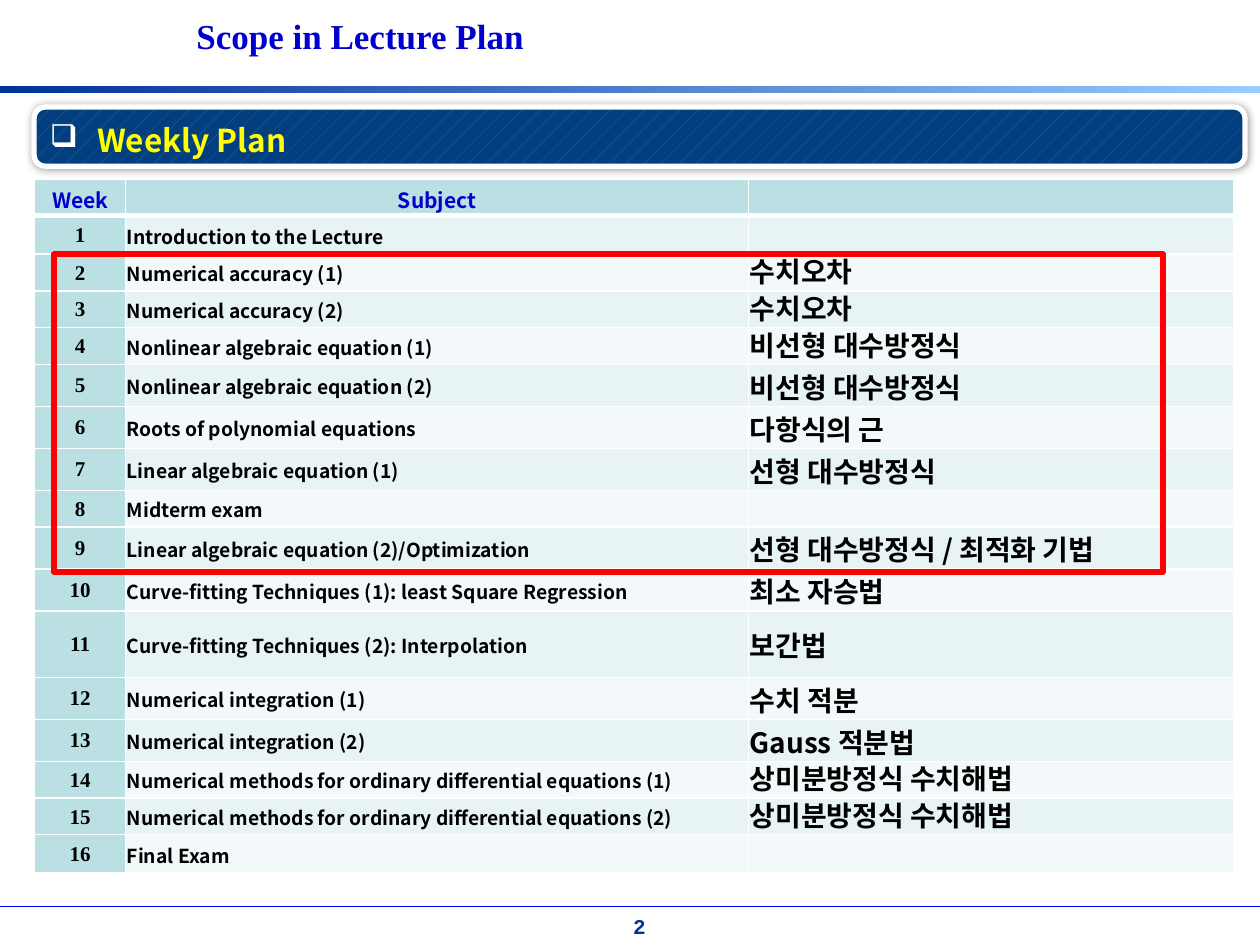
"""Build the weekly lecture plan slide."""
import pptx
import pptx.util
import pptx.dml.color
import pptx.enum.dml
import pptx.enum.shapes
import pptx.enum.text
import pptx.oxml
import pptx.oxml.ns

Pt = pptx.util.Pt
RGBColor = pptx.dml.color.RGBColor
SHAPE = pptx.enum.shapes.MSO_SHAPE
ALIGN = pptx.enum.text.PP_ALIGN
MIDDLE = pptx.enum.text.MSO_ANCHOR.MIDDLE

WHITE = RGBColor(0xFF, 0xFF, 0xFF)
BLACK = RGBColor(0x00, 0x00, 0x00)
YELLOW = RGBColor(0xFF, 0xFF, 0x00)
RED = RGBColor(0xFF, 0x00, 0x00)
BLUE = RGBColor(0x00, 0x00, 0xCC)
RULE = RGBColor(0x00, 0x00, 0xFF)
NAVY = RGBColor(0x00, 0x33, 0x99)
SKY = RGBColor(0x99, 0xCC, 0xFF)
DEEP = RGBColor(0x03, 0x3E, 0x7F)
STEEL = RGBColor(0x32, 0x6C, 0xAC)
TEAL = RGBColor(0xBB, 0xE0, 0xE3)
BANDS = (RGBColor(0xF3, 0xF9, 0xFA), RGBColor(0xE7, 0xF3, 0xF4))

SERIF = "Times New Roman"
SANS = "Noto Sans CJK KR"
MONO = "Courier New"

COLS = (52, 356, 277.5)
HEAD = 21
PLAN = (
    (22, "Introduction to the Lecture", ""),
    (21, "Numerical accuracy (1)", "수치오차"),
    (21, "Numerical accuracy (2)", "수치오차"),
    (21, "Nonlinear algebraic equation (1)", "비선형 대수방정식"),
    (24, "Nonlinear algebraic equation (2)", "비선형 대수방정식"),
    (24, "Roots of polynomial equations", "다항식의 근"),
    (24, "Linear algebraic equation (1)", "선형 대수방정식"),
    (21, "Midterm exam", ""),
    (24, "Linear algebraic equation (2)/Optimization", "선형 대수방정식 / 최적화 기법"),
    (24, "Curve-fitting Techniques (1): least Square Regression", "최소 자승법"),
    (38, "Curve-fitting Techniques (2): Interpolation", "보간법"),
    (24, "Numerical integration (1)", "수치 적분"),
    (24, "Numerical integration (2)", "Gauss 적분법"),
    (21, "Numerical methods for ordinary differential equations (1)", "상미분방정식 수치해법"),
    (21, "Numerical methods for ordinary differential equations (2)", "상미분방정식 수치해법"),
    (22, "Final Exam", ""),
)


def add_xml(parent, xml):
    space = pptx.oxml.ns.nsdecls("a")
    node = pptx.oxml.parse_xml(xml.replace("/>", f" {space}/>", 1) if xml.endswith("/>") and xml.count("<") == 1
                               else xml.replace(">", f" {space}>", 1))
    parent.append(node)


def write(frame, text, font, size, color, align=ALIGN.LEFT):
    frame.text = text
    para = frame.paragraphs[0]
    para.alignment = align
    for run in para.runs:
        run.font.name = font
        run.font.size = Pt(size)
        run.font.bold = True
        run.font.color.rgb = color
        add_xml(run.font._element, f'<a:ea typeface="{font}"/>')
    return para


def add_box(slide, kind, left, top, width, height):
    box = slide.shapes.add_shape(kind, Pt(left), Pt(top), Pt(width), Pt(height))
    box.shadow.inherit = False
    return box


def add_frame(slide):
    strip = add_box(slide, SHAPE.ROUNDED_RECTANGLE, 0, 49, 720, 4.3)
    strip.adjustments[0] = 0
    strip.line.fill.background()
    strip.fill.gradient()
    strip.fill.gradient_angle = 0
    for stop, color in zip(strip.fill.gradient_stops, (NAVY, SKY)):
        stop.color.rgb = color

    rule = slide.shapes.add_connector(
        pptx.enum.shapes.MSO_CONNECTOR.STRAIGHT, Pt(0), Pt(517.8), Pt(720), Pt(517.8))
    rule.line.color.rgb = RULE
    rule.line.width = Pt(0.25)
    add_xml(rule._element.spPr, "<a:effectLst/>")

    page = slide.shapes.add_textbox(Pt(342.7), Pt(518.4), Pt(45.4), Pt(22.3))
    page.text_frame.word_wrap = True
    para = write(page.text_frame, "2", MONO, 12, NAVY, ALIGN.CENTER)
    para.space_before = Pt(2.4)


def add_title(slide):
    title = slide.shapes.title
    title.left, title.top, title.width, title.height = Pt(105), Pt(3.6), Pt(449), Pt(33)
    frame = title.text_frame
    frame.auto_size = pptx.enum.text.MSO_AUTO_SIZE.NONE
    frame.vertical_anchor = MIDDLE
    write(frame, "Scope in Lecture Plan", SERIF, 20, BLUE)


def add_banner(slide):
    bar = add_box(slide, SHAPE.ROUNDED_RECTANGLE, 19.5, 61.2, 692, 33.8)
    bar.adjustments[0] = 0.19
    bar.fill.patterned()
    bar.fill.pattern = pptx.enum.dml.MSO_PATTERN.PERCENT_5
    bar.fill.fore_color.rgb = STEEL
    bar.fill.back_color.rgb = DEEP
    bar.line.color.rgb = WHITE
    bar.line.width = Pt(3)
    glow = bar._element.spPr.find(pptx.oxml.ns.qn("a:effectLst"))
    add_xml(glow, f'<a:outerShdw blurRad="{Pt(5)}" dist="0" dir="0"><a:srgbClr val="{BLACK}">'
                  '<a:alpha val="40000"/></a:srgbClr></a:outerShdw>')
    bar.text_frame.vertical_anchor = MIDDLE
    para = write(bar.text_frame, "Weekly Plan", SANS, 18, YELLOW)
    para.line_spacing = 1.2
    props = para._p.get_or_add_pPr()
    props.set("marL", str(Pt(27)))
    props.set("indent", str(-Pt(27)))
    add_xml(props, f'<a:buClr><a:srgbClr val="{WHITE}"/></a:buClr>')
    add_xml(props, '<a:buChar char="❑"/>')


def fill_cell(cell, text, font, size, color, back, align=ALIGN.LEFT, base=1):
    cell.margin_left = cell.margin_right = cell.margin_top = Pt(0.7)
    cell.margin_bottom = Pt(0)
    cell.vertical_anchor = MIDDLE
    para = write(cell.text_frame, text, font, size, color, align)
    if not text:
        para._p.get_or_add_endParaRPr().set("sz", str(size * 100))
    props = cell._tc.get_or_add_tcPr()
    for side, width in (("L", 1), ("R", 1), ("T", 1), ("B", base)):
        add_xml(props, f'<a:ln{side} w="{Pt(width)}"><a:solidFill><a:srgbClr val="{WHITE}"/>'
                       f'</a:solidFill></a:ln{side}>')
    cell.fill.solid()
    cell.fill.fore_color.rgb = back
    return para


def add_plan(slide):
    highs = [HEAD] + [row[0] for row in PLAN]
    table = slide.shapes.add_table(
        len(highs), len(COLS), Pt(19.8), Pt(102.3), Pt(sum(COLS)), Pt(sum(highs))).table
    table.first_row = table.horz_banding = False
    for col, width in zip(table.columns, COLS):
        col.width = Pt(width)
    for row, high in zip(table.rows, highs):
        row.height = Pt(high)
    for col, text in enumerate(("Week", "Subject", "")):
        para = fill_cell(table.cell(0, col), text, SANS, 12, BLUE, TEAL, ALIGN.CENTER, 3)
        para.line_spacing = 1.07
    for week, (high, topic, local) in enumerate(PLAN, 1):
        band = BANDS[week % 2]
        fill_cell(table.cell(week, 0), str(week), SERIF, 12, BLACK, TEAL, ALIGN.CENTER)
        fill_cell(table.cell(week, 1), topic, SANS, 11, BLACK, band)
        para = fill_cell(table.cell(week, 2), local, SANS, 16 if local else 11, BLACK, band)
        if local and high < 24:
            para.line_spacing = Pt(20)


def add_scope(slide):
    scope = add_box(slide, SHAPE.RECTANGLE, 31, 145.4, 633.6, 181.4)
    scope.fill.background()
    scope.line.color.rgb = RED
    scope.line.width = Pt(3.5)
    add_xml(scope.line._get_or_add_ln(), "<a:round/>")


def main():
    deck = pptx.Presentation()
    deck.slide_width, deck.slide_height = Pt(720), Pt(540)
    slide = deck.slides.add_slide(deck.slide_layouts[5])
    add_frame(slide)
    add_title(slide)
    add_banner(slide)
    add_plan(slide)
    add_scope(slide)
    deck.save("out.pptx")


if __name__ == "__main__":
    main()
